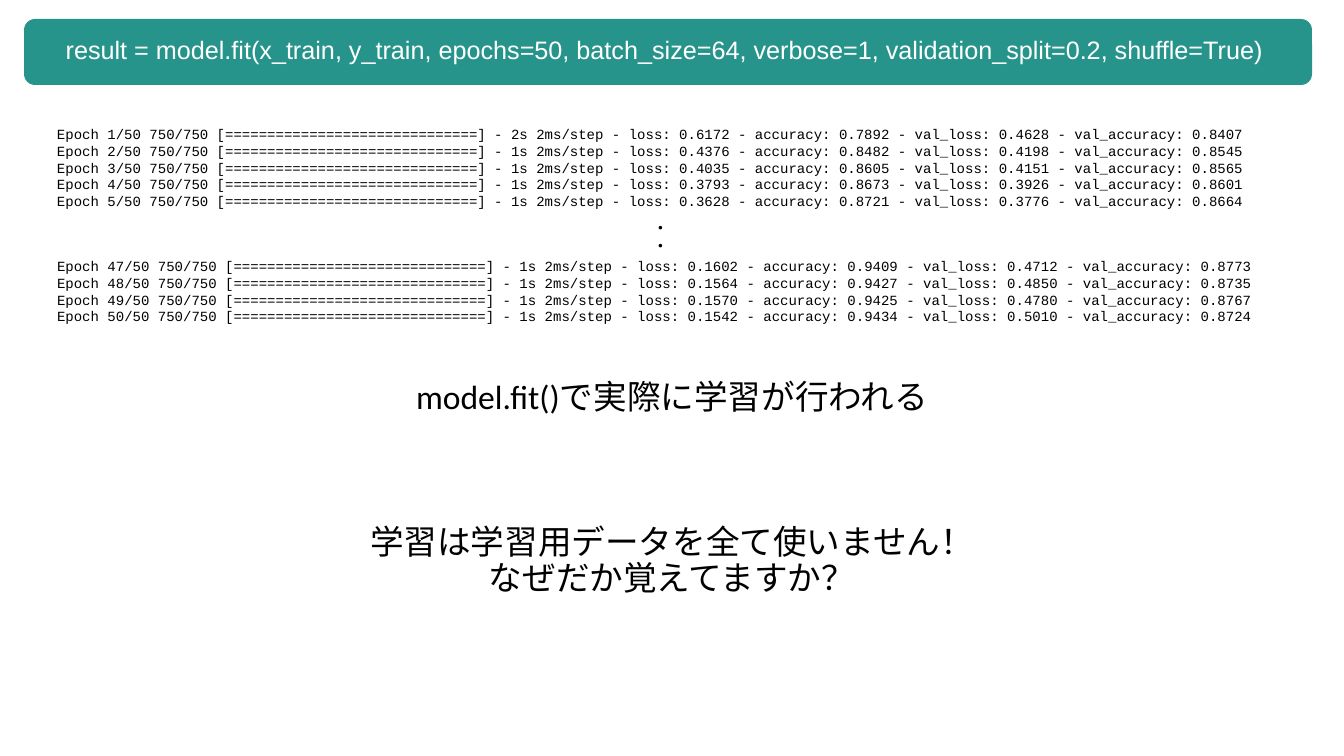
from pptx import Presentation
from pptx.dml.color import RGBColor
from pptx.enum.shapes import MSO_SHAPE
from pptx.enum.text import MSO_ANCHOR, MSO_AUTO_SIZE, PP_ALIGN
from pptx.util import Pt

ROUND, RECT = MSO_SHAPE.ROUNDED_RECTANGLE, MSO_SHAPE.RECTANGLE
TOP, MIDDLE = MSO_ANCHOR.TOP, MSO_ANCHOR.MIDDLE
LEFT, CENTER = PP_ALIGN.LEFT, PP_ALIGN.CENTER
GROW = MSO_AUTO_SIZE.SHAPE_TO_FIT_TEXT

PX = 914400 / 50.4
WIDE, HIGH = 1344, 756
COLOR = {"teal": "26948B", "white": "FFFFFF", "black": "000000"}

# Content
CALL = ("result = model.fit(x_train, y_train, epochs=50, batch_size=64, "
        "verbose=1, validation_split=0.2, shuffle=True)")
# epoch, seconds, loss, accuracy, val_loss, val_accuracy
FIRST = [
    (1, 2, 0.6172, 0.7892, 0.4628, 0.8407),
    (2, 1, 0.4376, 0.8482, 0.4198, 0.8545),
    (3, 1, 0.4035, 0.8605, 0.4151, 0.8565),
    (4, 1, 0.3793, 0.8673, 0.3926, 0.8601),
    (5, 1, 0.3628, 0.8721, 0.3776, 0.8664),
]
LAST = [
    (47, 1, 0.1602, 0.9409, 0.4712, 0.8773),
    (48, 1, 0.1564, 0.9427, 0.4850, 0.8735),
    (49, 1, 0.1570, 0.9425, 0.4780, 0.8767),
    (50, 1, 0.1542, 0.9434, 0.5010, 0.8724),
]
DOTS = ["・", "・"]
POINT = ["model.fit()で実際に学習が行われる"]
ASK = ["学習は学習用データを全て使いません！", "なぜだか覚えてますか？"]

# Text formats
CODE = {"name": "Arial", "size": Pt(36), "color": "white"}
MONO = {"name": "Courier New", "size": Pt(20), "color": "black"}
BODY = {"name": "Calibri", "size": Pt(48), "color": "black"}
DOT = {**BODY, "size": Pt(24)}


def log(rows):
    bar = "=" * 30
    return [f"Epoch {n}/50 750/750 [{bar}] - {sec}s 2ms/step - loss: {loss:.4f}"
            f" - accuracy: {acc:.4f} - val_loss: {vloss:.4f}"
            f" - val_accuracy: {vacc:.4f}"
            for n, sec, loss, acc, vloss, vacc in rows]


def scale(box):
    return [round(v * PX) for v in box]


def add_block(slide, kind, box, fill):
    block = slide.shapes.add_shape(kind, *scale(box))
    block.shadow.inherit = False
    block.fill.solid()
    block.fill.fore_color.rgb = RGBColor.from_string(COLOR[fill])
    block.line.fill.background()
    return block


def write(shape, lines, style, align=CENTER, space=0.9, inset=None,
          anchor=TOP, wrap=True):
    frame = shape.text_frame
    look = {"word_wrap": wrap, "auto_size": GROW, "vertical_anchor": anchor}
    if inset is not None:
        for side in ("left", "top", "right", "bottom"):
            look[f"margin_{side}"] = round(inset * PX)
    for key, value in look.items():
        setattr(frame, key, value)
    for i, line in enumerate(lines):
        para = frame.add_paragraph() if i else frame.paragraphs[0]
        para.alignment, para.line_spacing = align, space
        run = para.add_run()
        run.text = line
        for key in ("name", "size"):
            setattr(run.font, key, style[key])
        run.font.color.rgb = RGBColor.from_string(COLOR[style["color"]])


def add_text(slide, box, lines, style, **look):
    write(slide.shapes.add_textbox(*scale(box)), lines, style, **look)


def main():
    deck = Presentation()
    deck.slide_width, deck.slide_height = scale((WIDE, HIGH))
    slide = deck.slides.add_slide(deck.slide_layouts[6])

    # Code banner
    add_block(slide, ROUND, (24, 19, 1288, 66), "teal")
    add_text(slide, (22, 35, 1285, 33), [CALL], CODE)

    # Training log
    for box, rows in (((57, 257, 1213, 68), LAST), ((57, 125, 1205, 85), FIRST)):
        write(add_block(slide, RECT, box, "white"), log(rows), MONO, align=LEFT,
              space=None, inset=0, anchor=MIDDLE, wrap=False)

    # Remarks
    add_text(slide, (250, 378, 844, 42), POINT, BODY)
    add_text(slide, (642, 217, 37, 42), DOTS, DOT, inset=3, anchor=MIDDLE)
    add_text(slide, (250, 523, 844, 79), ASK, BODY)

    deck.save("out.pptx")


if __name__ == "__main__":
    main()
